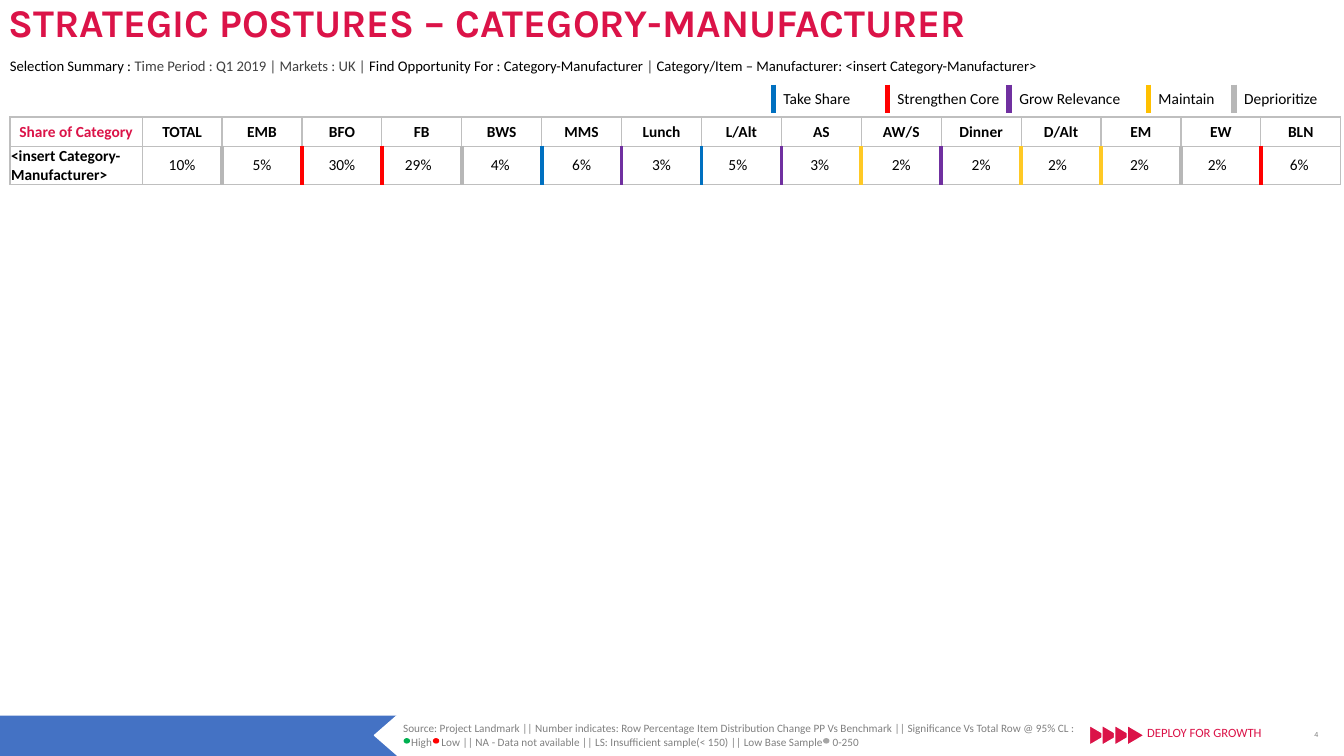
from pptx import Presentation
from pptx.dml.color import RGBColor
from pptx.enum.shapes import MSO_SHAPE as Shape
from pptx.enum.text import MSO_ANCHOR as Anchor, PP_ALIGN as Align
from pptx.oxml import parse_xml
from pptx.oxml.ns import nsdecls
from pptx.util import Inches, Pt

CRIMSON, BLACK, WHITE, GRAY, DARK = "DB1348", "000000", "FFFFFF", "808080", "404040"
BLUE, RED, PURPLE, GOLD, SILVER = "0070C0", "FF0000", "7030A0", "FFC000", "B7B7B7"
GRID, YELLOW = "BFBFBF", "FFC925"


def rgb(value):
    return RGBColor.from_string(value)


class SlideBuilder:
    font = "Calibri"

    def __init__(self, slide):
        self.slide = slide

    def style(self, paragraph, size, color=None, bold=False, font=None, align=None):
        paragraph.font.name = font or self.font
        paragraph.font.size = Pt(size)
        paragraph.font.bold = bold
        if color:
            paragraph.font.color.rgb = rgb(color)
        if align is not None:
            paragraph.alignment = align

    def text(self, left, top, width, height, lines, size, color=None,
             anchor=Anchor.TOP, **style):
        """Each line is a string, or a list of (text, color) runs."""
        box = self.slide.shapes.add_textbox(
            Inches(left), Inches(top), Inches(width), Inches(height))
        frame = box.text_frame
        frame.word_wrap = True
        frame.vertical_anchor = anchor
        for index, line in enumerate(lines):
            paragraph = frame.add_paragraph() if index else frame.paragraphs[0]
            self.style(paragraph, size, color, **style)
            if isinstance(line, str):
                paragraph.text = line
                continue
            for words, run_color in line:
                run = paragraph.add_run()
                run.text = words
                run.font.color.rgb = rgb(run_color)
        return frame

    def shape(self, kind, left, top, width, height, fill, line=None, rotation=0):
        shape = self.slide.shapes.add_shape(
            kind, Inches(left), Inches(top), Inches(width), Inches(height))
        shape.shadow.inherit = False
        shape.rotation = rotation
        shape.fill.solid()
        shape.fill.fore_color.rgb = rgb(fill)
        if line:
            shape.line.color.rgb = rgb(line)
            shape.line.width = Pt(1)
        else:
            shape.line.fill.background()

    def table(self, left, top, widths, heights):
        frame = self.slide.shapes.add_table(
            len(heights), len(widths), Inches(left), Inches(top),
            Inches(sum(widths)), Inches(sum(heights)))
        table = frame.table
        table.first_row = table.horz_banding = False
        for column, width in zip(table.columns, widths):
            column.width = Inches(width)
        for row, height in zip(table.rows, heights):
            row.height = Inches(height)
        return table

    def cell(self, cell, words, borders, color=BLACK, bold=False, align=Align.LEFT):
        """Borders map L, R, T, B to (color, points); a missing side is empty."""
        cell.text = words
        self.style(cell.text_frame.paragraphs[0], 11, color, bold, align=align)
        properties = cell._tc.get_or_add_tcPr()
        for side in "LRTB":
            line_color, points = borders.get(side, (None, 0))
            paint = (f'<a:solidFill><a:srgbClr val="{line_color}"/></a:solidFill>'
                     if line_color else "<a:noFill/>")
            properties.append(parse_xml(
                f'<a:ln{side} {nsdecls("a")} w="{Pt(points)}">{paint}</a:ln{side}>'))
        cell.fill.background()

    def tab_stops(self, paragraph, positions):
        stops = "".join(f'<a:tab pos="{Inches(x)}" algn="l"/>' for x in positions)
        tab_list = parse_xml(f'<a:tabLst {nsdecls("a")}>{stops}</a:tabLst>')
        paragraph._p.get_or_add_pPr().insert(0, tab_list)


def build_footer(builder):
    builder.shape(Shape.RECTANGLE, 0, 7.1, 3.94, 0.4, "4472C4")
    builder.shape(Shape.ISOSCELES_TRIANGLE, 3.63, 7.18, 0.4, 0.23, WHITE, WHITE, 270)
    for index in range(4):
        builder.shape(Shape.ISOSCELES_TRIANGLE, 10.79 + 0.125 * index, 7.21,
                      0.2, 0.17, CRIMSON, WHITE, 90)
    builder.text(11.28, 7.14, 1.61, 0.25, ["DEPLOY FOR GROWTH"], 9, CRIMSON)
    builder.text(12.81, 7.14, 0.49, 0.3, ["4"], 5.2, GRAY, Anchor.MIDDLE,
                 font="Arial", align=Align.CENTER)
    source = builder.text(3.9, 7.11, 6.88, 0.37, [
        "Source: Project Landmark || Number indicates: Row Percentage Item Distribution "
        "Change PP Vs Benchmark || Significance Vs Total Row @ 95% CL :",
        "\tHigh\tLow || NA - Data not available || LS: Insufficient sample(< 150) "
        "|| Low Base Sample\t0-250"], 8, GRAY)
    builder.tab_stops(source.paragraphs[1], [0.08, 0.38, 4.26])
    for left, color in ((4.01, "00B050"), (4.3, RED), (8.17, "A6A6A6")):
        builder.shape(Shape.FLOWCHART_CONNECTOR, left, 7.33, 0.05, 0.04, color, color)


def build_legend(builder):
    postures = [("Take Share", BLUE, 1.13), ("Strengthen Core", RED, 1.21),
                ("Grow Relevance", PURPLE, 1.38), ("Maintain", GOLD, 0.85),
                ("Deprioritize", SILVER, 1)]
    legend = builder.table(7.67, 0.84, [width for _, _, width in postures], [0.28])
    for index, (name, color, _) in enumerate(postures):
        borders = {"L": (color, 4.5)}
        if index + 1 < len(postures):
            borders["R"] = (postures[index + 1][1], 4.5)
        cell = legend.cell(0, index)
        builder.cell(cell, name, borders)
        # Room for the longest label on one line
        cell.margin_right = cell.margin_bottom = 0


def build_share_table(builder):
    # Heading, share, colour of the line to the right, nudge to the left
    shares = [("TOTAL", "10%", SILVER, 0), ("EMB", "5%", RED, 0),
              ("BFO", "30%", RED, 0), ("FB", "29%", SILVER, 0.07),
              ("BWS", "4%", BLUE, 0.03), ("MMS", "6%", PURPLE, 0),
              ("Lunch", "3%", BLUE, 0), ("L/Alt", "5%", PURPLE, 0.07),
              ("AS", "3%", YELLOW, 0.03), ("AW/S", "2%", PURPLE, 0),
              ("Dinner", "2%", YELLOW, 0), ("D/Alt", "2%", YELLOW, 0.07),
              ("EM", "2%", SILVER, 0.03), ("EW", "2%", RED, 0.07),
              ("BLN", "6%", None, 0.03)]
    label_width = 1.31
    share_width = (13.2 - label_width) / len(shares)
    table = builder.table(0.1, 1.16, [label_width] + [share_width] * len(shares),
                          [0.29, 0.35])
    thin = (GRID, 1)
    grid = dict.fromkeys("LRTB", thin)

    builder.cell(table.cell(0, 0), "Share of Category", grid, CRIMSON, True, Align.CENTER)
    builder.cell(table.cell(1, 0), "<insert Category-Manufacturer>", grid, bold=True)
    left_line = thin
    for column, (heading, share, color, _) in enumerate(shares, 1):
        right_line = (color, 3) if color else thin
        builder.cell(table.cell(0, column), heading, grid, bold=True, align=Align.CENTER)
        builder.cell(table.cell(1, column), share,
                     {**grid, "L": left_line, "R": right_line}, align=Align.CENTER)
        left_line = right_line

    for cell in table.iter_cells():
        cell.vertical_anchor = Anchor.MIDDLE
        cell.margin_left = cell.margin_right = cell.margin_top = Inches(0.01)
        cell.margin_bottom = 0
    for column, (_, _, _, nudge) in enumerate(shares, 1):
        table.cell(1, column).margin_right = Inches(0.01 + nudge)


def build_heading(builder):
    title = builder.text(-0.01, 0.02, 12.95, 0.45,
                         ["STRATEGIC POSTURES – CATEGORY-MANUFACTURER"], 28, CRIMSON,
                         Anchor.MIDDLE, bold=True, font="Karla")
    title.paragraphs[0].line_spacing = 0.9
    builder.text(0, 0.51, 13.05, 0.28, [[
        ("Selection Summary : ", BLACK),
        ("Time Period : Q1 2019 | Markets : UK | ", DARK),
        ("Find Opportunity For : Category-Manufacturer", BLACK),
        (" | ", DARK),
        ("Category/Item – Manufacturer: <insert Category-Manufacturer>", BLACK),
    ]], 10.5, anchor=Anchor.MIDDLE)


def main():
    presentation = Presentation()
    presentation.slide_width, presentation.slide_height = Inches(13.33), Inches(7.5)
    builder = SlideBuilder(presentation.slides.add_slide(presentation.slide_layouts[6]))
    build_footer(builder)
    build_legend(builder)
    build_share_table(builder)
    build_heading(builder)
    presentation.save("out.pptx")


if __name__ == "__main__":
    main()
